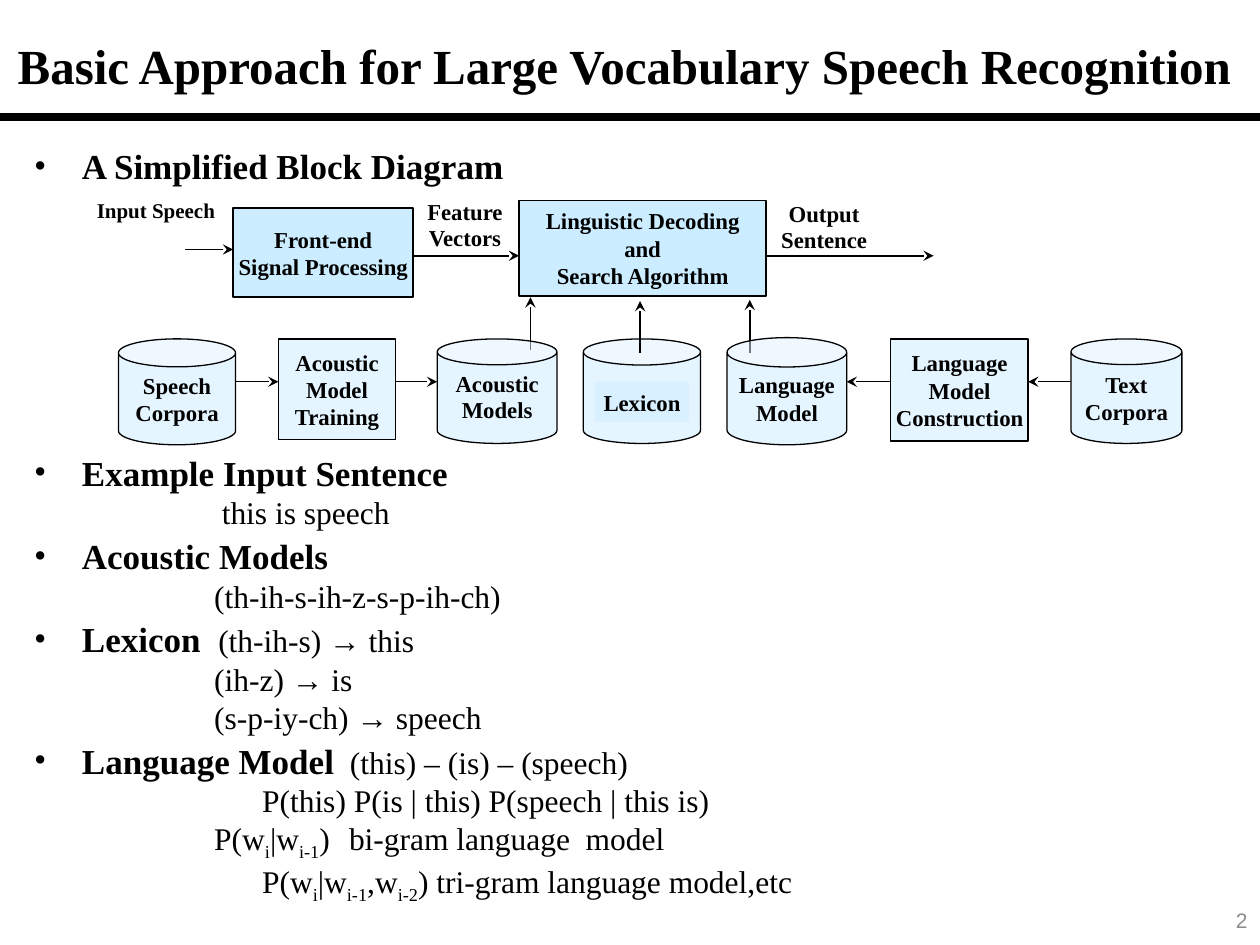
from lxml import etree
from pptx import Presentation
from pptx.dml.color import RGBColor
from pptx.enum.shapes import MSO_CONNECTOR, MSO_SHAPE
from pptx.enum.text import MSO_ANCHOR, MSO_AUTO_SIZE, PP_ALIGN
from pptx.oxml.ns import qn
from pptx.util import Inches, Pt

COLORS = {"text": "000000", "line": "000000", "block": "CCECFF", "number": "8C8C8C"}
SERIF = "Times New Roman"
HEADING = {"size": Pt(20), "bold": True}
DETAIL = {"size": Pt(18), "bold": False}
LABEL = {"size": Pt(13), "bold": True}
SUBSCRIPT = "-25000"

# Each row: first-line indent (None for a bullet), points before, runs
OUTLINE = [
    (None, 0, [("A Simplified Block Diagram", HEADING)]),
    (None, 151, [("Example Input Sentence", HEADING)]),
    (1.49, 0, [("this is speech", DETAIL)]),
    (None, 2, [("Acoustic Models", HEADING)]),
    (1.43, 0, [("(th-ih-s-ih-z-s-p-ih-ch)", DETAIL)]),
    (None, 2, [("Lexicon  ", HEADING), ("(th-ih-s) → this", DETAIL)]),
    (1.43, 0, [("(ih-z) → is", DETAIL)]),
    (1.43, 0, [("(s-p-iy-ch) → speech", DETAIL)]),
    (None, 2, [("Language Model", HEADING), ("  (this) – (is) – (speech)", DETAIL)]),
    (1.81, 0, [("P(this) P(is | this) P(speech | this is)", DETAIL)]),
    (1.43, 0, [("P(w", DETAIL), ("i", SUBSCRIPT), ("|w", DETAIL), ("i-1", SUBSCRIPT),
               (")\tbi-gram language  model", DETAIL)]),
    (1.81, 0, [("P(w", DETAIL), ("i", SUBSCRIPT), ("|w", DETAIL), ("i-1", SUBSCRIPT),
               (",w", DETAIL), ("i-2", SUBSCRIPT),
               (") tri-gram language model,etc", DETAIL)]),
]
BIGRAM_TAB = 2.85

# Bottom row of the diagram: left, top, width, height, can depth (None for a box), text
SPEECH = (0.44, 1.19, 0.93, 0.84, 0.264, "Speech\nCorpora")
TRAINING = (1.71, 1.19, 0.93, 0.8, None, "Acoustic\nModel\nTraining")
ACOUSTIC = (2.97, 1.19, 0.95, 0.83, 0.248, "Acoustic\nModels")
LEXICON = (4.13, 1.19, 0.93, 0.83, 0.25, "")
LANGUAGE = (5.27, 1.18, 0.95, 0.85, 0.274, "Language\nModel")
CONSTRUCTION = (6.57, 1.19, 1.09, 0.81, None, "Language\nModel\nConstruction")
TEXT = (8.0, 1.19, 0.88, 0.83, 0.246, "Text\nCorpora")


def color(name):
    return RGBColor.from_string(COLORS[name])


def apply(target, values):
    for name, value in values.items():
        setattr(target, name, value)


def place(shape, box):
    apply(shape, dict(zip(("left", "top", "width", "height"), map(Inches, box))))


def style_font(font, values, name=SERIF, fill="text"):
    apply(font, {"name": name, **values})
    font.color.rgb = color(fill)


def write_lines(shape, text, font=LABEL, align=PP_ALIGN.CENTER, spacing=1.0):
    frame = shape.text_frame
    apply(frame, {"word_wrap": False, "auto_size": MSO_AUTO_SIZE.NONE,
                  "vertical_anchor": MSO_ANCHOR.MIDDLE, "text": text})
    for paragraph in frame.paragraphs:
        apply(paragraph, {"alignment": align, "line_spacing": spacing})
        style_font(paragraph.font, font)


def add_line(slide, start, end, width, arrow=True):
    line = slide.shapes.add_connector(MSO_CONNECTOR.STRAIGHT, *map(Inches, (*start, *end)))
    line.line.width = Pt(width)
    line.line.color.rgb = color("line")
    if arrow:
        etree.SubElement(line.line._get_or_add_ln(), qn("a:tailEnd"), type="stealth")
    etree.SubElement(line._element.spPr, qn("a:effectLst"))


def add_block(slide, kind, box, text, line_width=0.75, alpha=None, spacing=1.0):
    shape = slide.shapes.add_shape(kind, *map(Inches, box))
    shape.shadow.inherit = False
    shape.fill.solid()
    shape.fill.fore_color.rgb = color("block")
    if alpha:
        fill = shape._element.spPr.find(qn("a:solidFill"))
        etree.SubElement(fill[0], qn("a:alpha"), val=str(alpha * 1000))
    if line_width:
        shape.line.width = Pt(line_width)
        shape.line.color.rgb = color("line")
    else:
        shape.line.fill.background()
    write_lines(shape, text, spacing=spacing)
    return shape


def add_title(slide, box):
    title = slide.shapes.title
    place(title, box)
    write_lines(title, "Basic Approach for Large Vocabulary Speech Recognition",
                {"size": Pt(28), "bold": True}, PP_ALIGN.LEFT, 0.9)
    add_line(slide, (0, 0.93), (10, 0.93), 4.5, arrow=False)


def set_indent(paragraph, indent):
    """Give a bullet with a hanging indent, or a plain line with a first-line indent."""
    properties = paragraph._p.get_or_add_pPr()
    hanging = Inches(0.38)
    if indent is None:
        properties.set("marL", str(hanging))
        properties.set("indent", str(-hanging))
        etree.SubElement(properties, qn("a:buFont"), typeface=SERIF)
        etree.SubElement(properties, qn("a:buChar"), char="•")
    else:
        properties.set("marL", "0")
        properties.set("indent", str(Inches(indent)))
        etree.SubElement(properties, qn("a:buNone"))
        tabs = etree.SubElement(properties, qn("a:tabLst"))
        etree.SubElement(tabs, qn("a:tab"), pos=str(Inches(BIGRAM_TAB)), algn="l")


def add_outline(slide, box):
    body = slide.placeholders[1]
    place(body, box)
    frame = body.text_frame
    apply(frame, {"word_wrap": True, "auto_size": MSO_AUTO_SIZE.NONE,
                  "vertical_anchor": MSO_ANCHOR.TOP})
    for index, (indent, before, runs) in enumerate(OUTLINE):
        paragraph = frame.add_paragraph() if index else frame.paragraphs[0]
        set_indent(paragraph, indent)
        apply(paragraph, {"alignment": PP_ALIGN.LEFT, "space_before": Pt(before)})
        for text, style in runs:
            run = paragraph.add_run()
            run.text = text
            style_font(run.font, DETAIL if style == SUBSCRIPT else style)
            if style == SUBSCRIPT:
                run._r.get_or_add_rPr().set("baseline", SUBSCRIPT)


def add_diagram(slide, box):
    left, top = box[:2]

    def at(x, y, *size):
        return (left + x, top + y, *size)

    def component(x, y, width, height, depth, text):
        kind = MSO_SHAPE.CAN if depth else MSO_SHAPE.RECTANGLE
        spacing = 0.95 if text == "Acoustic\nModels" else 1.0
        shape = add_block(slide, kind, at(x, y, width, height), text, alpha=50, spacing=spacing)
        if depth:
            shape.adjustments[0] = depth

    def label(x, y, width, height, text, size=13, align=PP_ALIGN.CENTER):
        shape = slide.shapes.add_textbox(*map(Inches, at(x, y, width, height)))
        write_lines(shape, text, {"size": Pt(size), "bold": True}, align, 0.95)

    add_block(slide, MSO_SHAPE.RECTANGLE, at(1.35, 0.15, 1.43, 0.71),
              "Front-end\nSignal Processing", 1)
    add_block(slide, MSO_SHAPE.RECTANGLE, at(3.62, 0.09, 1.96, 0.76),
              "Linguistic Decoding\nand\nSearch Algorithm")
    for start, end, y in ((0.97, 1.35, 0.48), (2.78, 3.62, 0.53), (5.58, 6.91, 0.53)):
        add_line(slide, at(start, y), at(end, y), 1)
    label(0.17, 0.03, 1.26, 0.3, "Input Speech", 12, PP_ALIGN.LEFT)
    label(2.82, 0.08, 0.74, 0.43, "Feature\nVectors")
    label(5.63, 0.09, 0.82, 0.43, "Output\nSentence")

    component(*LEXICON)
    add_block(slide, MSO_SHAPE.RECTANGLE, at(4.22, 1.53, 0.75, 0.32), "Lexicon",
              line_width=0, alpha=50)
    for x, start, end in ((3.71, 1.28, 0.86), (4.58, 1.3, 0.89), (5.45, 1.3, 0.88)):
        add_line(slide, at(x, start), at(x, end), 1)
    for part in (SPEECH, TRAINING, ACOUSTIC, LANGUAGE, CONSTRUCTION, TEXT):
        component(*part)
    for source, target in ((SPEECH, TRAINING), (TRAINING, ACOUSTIC)):
        add_line(slide, at(source[0] + source[2], 1.53), at(target[0], 1.53), 0.75)
    for source, target in ((CONSTRUCTION, LANGUAGE), (TEXT, CONSTRUCTION)):
        add_line(slide, at(source[0], 1.53), at(target[0] + target[2], 1.53), 0.75)


def add_slide_number(slide, box):
    shape = slide.shapes.add_textbox(*map(Inches, box))
    write_lines(shape, "2", align=PP_ALIGN.RIGHT)
    shape.text_frame.word_wrap = True
    style_font(shape.text_frame.paragraphs[0].font,
               {"size": Pt(12), "bold": False}, "Arial", "number")


def main():
    presentation = Presentation()
    apply(presentation, {"slide_width": Inches(10), "slide_height": Inches(7.5)})
    slide = presentation.slides.add_slide(presentation.slide_layouts[1])
    add_title(slide, (0.04, 0.17, 9.96, 0.75))
    add_outline(slide, (0.17, 1.1, 9.58, 5.88))
    add_diagram(slide, (0.5, 1.5, 9, 2.05))
    add_slide_number(slide, (7.75, 7.1, 2.25, 0.4))
    presentation.save("out.pptx")


if __name__ == "__main__":
    main()
